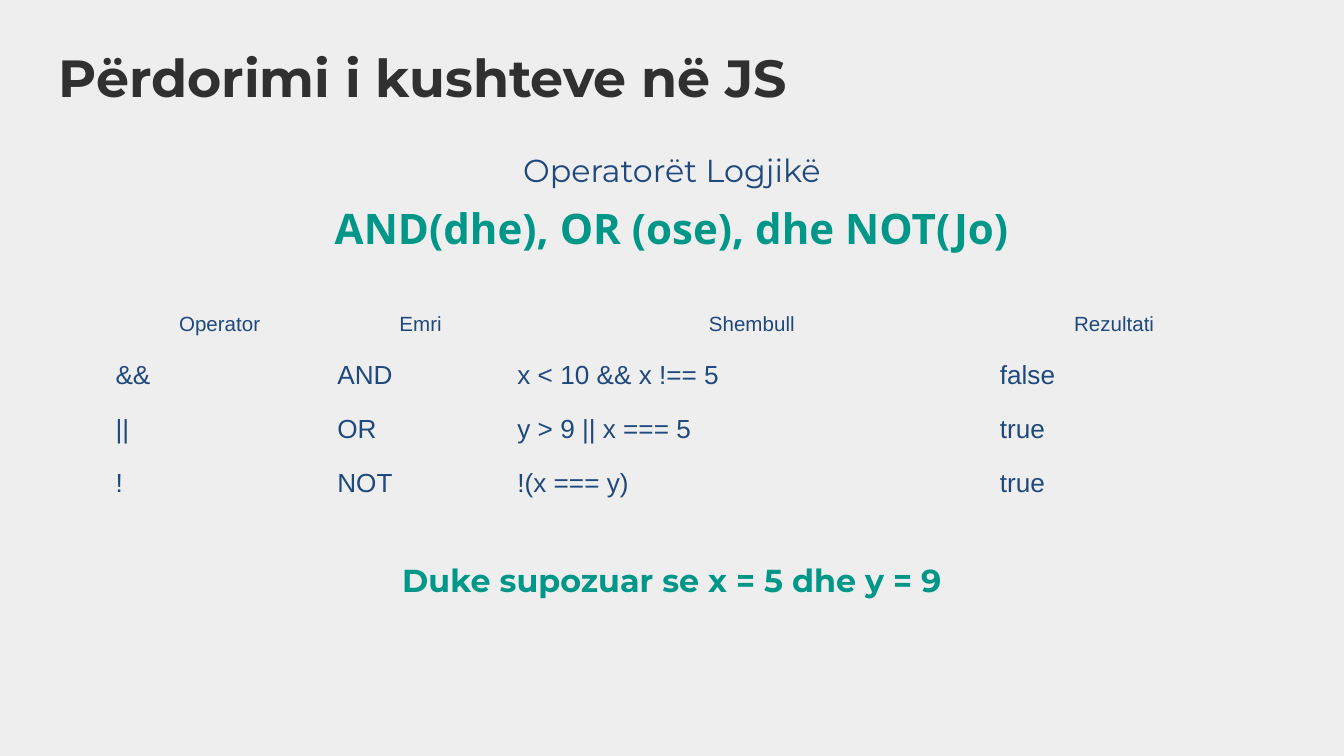
import pptx
import pptx.dml.color
import pptx.enum.text
import pptx.oxml.ns
import pptx.util
from dataclasses import dataclass
from pptx.util import Inches


@dataclass(frozen=True)
class Theme:
    background: str = "EEEEEE"
    dark: str = "303030"
    blue: str = "1F497D"
    teal: str = "009688"
    title_size: float = 28
    operators_size: float = 22.5
    body_size: float = 17
    cell_size: float = 14
    header_size: float = 11
    heading_font: str = "Montserrat"
    operators_font: str = "Open Sans"
    table_font: str = "Arial"


theme = Theme()
center = pptx.enum.text.PP_ALIGN.CENTER
left = pptx.enum.text.PP_ALIGN.LEFT


def write(paragraph, text, font_name, size, color, bold=False, alignment=left, spacing=1.0):
    paragraph.text = text
    paragraph.alignment = alignment
    paragraph.line_spacing = spacing
    font = paragraph.runs[0].font
    font.name = font_name
    font.size = pptx.util.Pt(size)
    font.bold = bold
    font.color.rgb = pptx.dml.color.RGBColor.from_string(color)


def add_text_frame(slide, top, height):
    shape = slide.shapes.add_textbox(Inches(0.34), Inches(top), Inches(9.32), Inches(height))
    frame = shape.text_frame
    frame.word_wrap = True
    frame.margin_left = frame.margin_right = Inches(0.1)
    frame.margin_top = frame.margin_bottom = Inches(0.1)
    return frame


presentation = pptx.Presentation()
presentation.slide_width = Inches(10)
presentation.slide_height = Inches(10) * 9 // 16
slide = presentation.slides.add_slide(presentation.slide_layouts[6])
slide.background.fill.solid()
slide.background.fill.fore_color.rgb = pptx.dml.color.RGBColor.from_string(theme.background)

title = add_text_frame(slide, 0.24, 0.63)
write(title.paragraphs[0], "Përdorimi i kushteve në JS", theme.heading_font,
      theme.title_size, theme.dark, bold=True)

body = add_text_frame(slide, 0.94, 3.74)
write(body.paragraphs[0], "Operatorët Logjikë", theme.heading_font,
      theme.body_size, theme.blue, alignment=center, spacing=1.3)
operators = body.add_paragraph()
write(operators, "AND(dhe), OR (ose), dhe NOT(Jo)", theme.operators_font,
      theme.operators_size, theme.teal, bold=True, alignment=center, spacing=1.15)
operators.space_before = pptx.util.Pt(3)
assumption = body.add_paragraph()
write(assumption, "Duke supozuar se x = 5 dhe y = 9", theme.heading_font,
      theme.body_size, theme.teal, bold=True, alignment=center, spacing=1.3)
assumption.space_before = pptx.util.Pt(159)

rows = [
    ("Operator", "Emri", "Shembull", "Rezultati"),
    ("&&", "AND", "x < 10 && x !== 5", "false"),
    ("||", "OR", "y > 9 || x === 5", "true"),
    ("!", "NOT", "!(x === y)", "true"),
]
column_widths = [1.65, 1.34, 3.59, 1.8]
row_heights = [0.29, 0.34, 0.34, 0.34]

table_frame = slide.shapes.add_table(
    len(rows), len(column_widths), Inches(0.81), Inches(2.23), Inches(3.28), Inches(3.28))
table = table_frame.table
table.first_row = False
table.horz_banding = False
style = table._tbl.tblPr.find(pptx.oxml.ns.qn("a:tableStyleId"))
style.text = "{2D5ABB26-0587-4C30-8999-92F81FD0307C}"

for column, width in zip(table.columns, column_widths):
    column.width = Inches(width)

for row_index, (values, height) in enumerate(zip(rows, row_heights)):
    table.rows[row_index].height = Inches(height)
    is_header = row_index == 0
    for column_index, value in enumerate(values):
        cell = table.cell(row_index, column_index)
        cell.fill.background()
        cell.margin_left = cell.margin_right = Inches(0.05)
        cell.margin_top = cell.margin_bottom = Inches(0.05)
        write(cell.text_frame.paragraphs[0], value, theme.table_font,
              theme.header_size if is_header else theme.cell_size, theme.blue,
              alignment=center if is_header else left, spacing=1.3)

table_frame.width = table_frame.height = Inches(3.28)

presentation.save("out.pptx")
